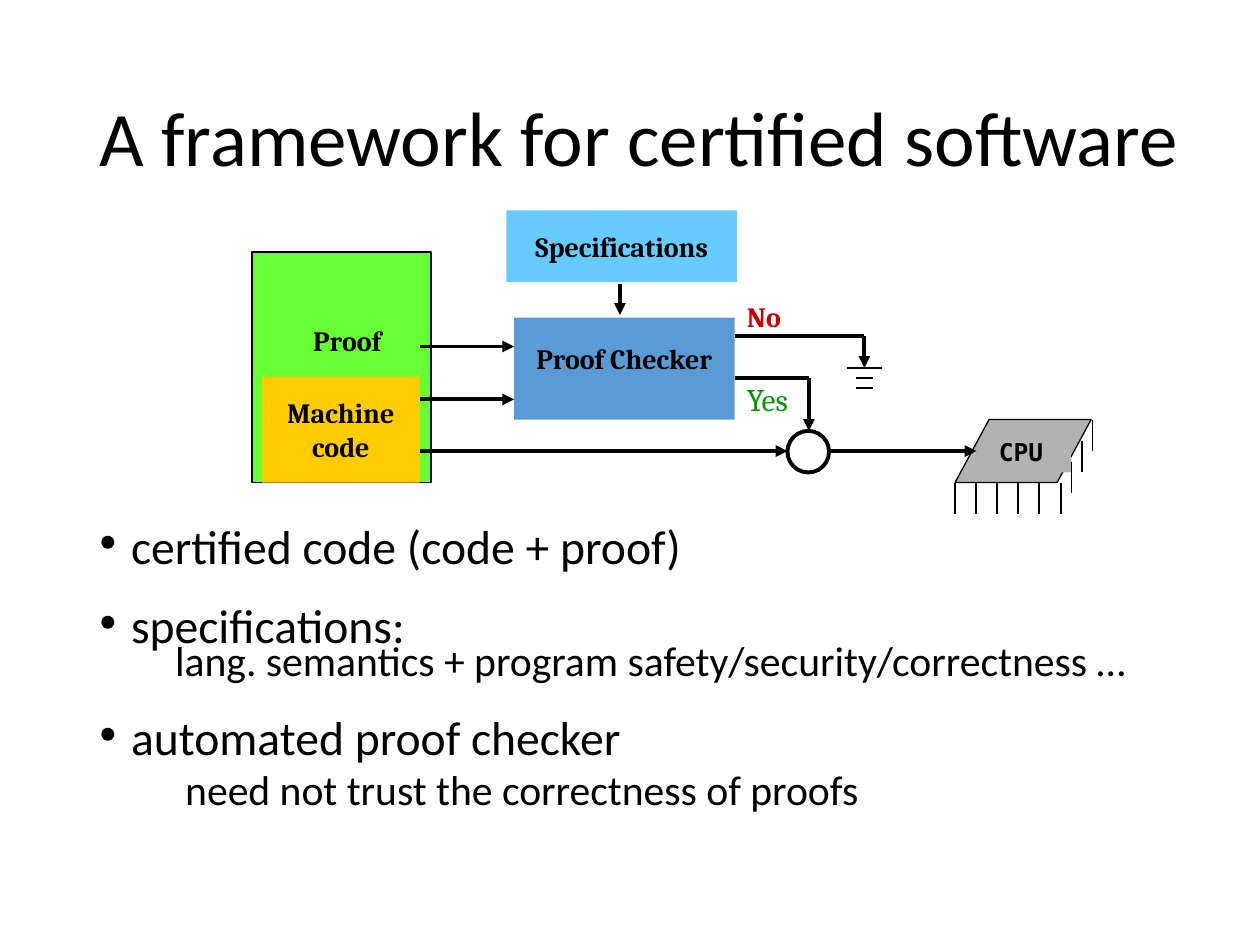
from lxml.etree import SubElement
from pptx import Presentation
from pptx.dml.color import RGBColor
from pptx.enum.shapes import MSO_CONNECTOR, MSO_SHAPE
from pptx.enum.text import MSO_ANCHOR, MSO_AUTO_SIZE, PP_ALIGN
from pptx.oxml.ns import qn
from pptx.util import Inches, Pt

COLORS = {
    "ink": "000000", "paper": "FFFFFF", "checker": "5B9BD5", "spec": "66CCFF",
    "proof": "66FF33", "machine": "FFCC00", "chip": "B2B2B2",
    "no": "CC0000", "yes": "009900",
}


class Board:
    title_font = "Calibri"
    label_font = "Cambria"
    code_font = "DejaVu Sans Mono"

    def __init__(self, slide):
        self.slide = slide

    def rgb(self, name):
        return RGBColor.from_string(COLORS[name])

    def format_runs(self, paragraph, size, font, color="ink", bold=False):
        for run in paragraph.runs:
            run.font.size = Pt(size)
            run.font.name = font
            run.font.bold = bold
            run.font.color.rgb = self.rgb(color)

    def place(self, holder, box):
        holder.left, holder.top, holder.width, holder.height = map(Inches, box)
        holder.text_frame.auto_size = MSO_AUTO_SIZE.NONE
        holder.text_frame.word_wrap = True
        return holder.text_frame

    def title(self, text, box):
        frame = self.place(self.slide.shapes.title, box)
        frame.vertical_anchor = MSO_ANCHOR.MIDDLE
        frame.text = text
        heading = frame.paragraphs[0]
        heading.alignment = PP_ALIGN.LEFT
        heading.line_spacing = 0.9
        self.format_runs(heading, 44, self.title_font)

    def points(self, entries, box):
        frame = self.place(self.slide.placeholders[1], box)
        frame.text = "\n".join(entry[0] for entry in entries)
        for paragraph, (_, bulleted, indent, before) in zip(frame.paragraphs, entries):
            paragraph.line_spacing = 0.6
            paragraph.space_before = Pt(before)
            self.format_runs(paragraph, 27.2 if bulleted else 23.8, self.title_font)
            props = paragraph._p.get_or_add_pPr()
            props.set("marL", str(Inches(indent)))
            props.set("indent", str(Inches(-0.25 if bulleted else 0)))
            if bulleted:
                SubElement(props, qn("a:buFont")).set("typeface", "Arial")
                SubElement(props, qn("a:buChar")).set("char", "•")
            else:
                SubElement(props, qn("a:buNone"))

    def block(self, box, fill, kind=MSO_SHAPE.RECTANGLE, outline=0):
        shape = self.slide.shapes.add_shape(kind, *map(Inches, box))
        shape.shadow.inherit = False
        shape.fill.solid()
        shape.fill.fore_color.rgb = self.rgb(fill)
        if outline:
            shape.line.color.rgb = self.rgb("ink")
            shape.line.width = Pt(outline)
        else:
            shape.line.fill.background()
        return shape

    def caption(self, shape, text, size=16, color="ink", bold=True, font=label_font,
                align=PP_ALIGN.CENTER, inset=0.05):
        frame = shape.text_frame
        frame.word_wrap = True
        frame.vertical_anchor = MSO_ANCHOR.TOP
        frame.margin_top = Inches(inset)
        frame.text = text
        frame.paragraphs[0].alignment = align
        self.format_runs(frame.paragraphs[0], size, font, color, bold)

    def label(self, text, box, **style):
        holder = self.slide.shapes.add_textbox(*map(Inches, box))
        self.caption(holder, text, align=PP_ALIGN.LEFT, **style)

    def line(self, x1, y1, x2, y2, width=2.25, arrow=False):
        link = self.slide.shapes.add_connector(
            MSO_CONNECTOR.STRAIGHT, *map(Inches, (x1, y1, x2, y2)))
        link.line.color.rgb = self.rgb("ink")
        link.line.width = Pt(width)
        if arrow:
            SubElement(link.line._get_or_add_ln(), qn("a:tailEnd")).set("type", "triangle")
        SubElement(link._element.spPr, qn("a:effectLst"))


deck = Presentation()
deck.slide_width, deck.slide_height = Inches(10), Inches(7.5)
board = Board(deck.slides.add_slide(deck.slide_layouts[1]))

board.title("A framework for certified software", (0.69, 0.4, 8.88, 1.45))
board.points([
    ("certified code (code + proof)", True, 0.25, 10),
    ("specifications:", True, 0.25, 26),
    ("lang. semantics + program safety/security/correctness …", False, 0.6, 1),
    ("automated proof checker", True, 0.25, 26),
    ("need not trust the correctness of proofs", False, 0.68, 11),
], (0.69, 4.21, 8.62, 2.54))

checker = board.block((4.08, 2.52, 1.75, 0.81), "checker")
board.caption(checker, "Proof Checker", inset=0.19)

board.line(5.83, 3, 6.42, 3)
board.line(6.42, 3, 6.42, 3.42, arrow=True)
board.label("Yes", (5.83, 2.97, 0.67, 0.4), size=18, color="yes", bold=False)

board.line(5.83, 2.67, 6.86, 2.67)
board.line(6.86, 2.67, 6.86, 2.92, arrow=True)
board.label("No", (5.83, 2.33, 0.58, 0.37), color="no")
for ground_y, half in ((2.92, 0.14), (3, 0.07), (3.08, 0.07)):
    board.line(6.86 + half, ground_y, 6.86 - half, ground_y, width=1.5)

chip = board.block((7.58, 3.33, 1.08, 0.5), "chip", MSO_SHAPE.PARALLELOGRAM, 0.75)
chip.adjustments[0] = 0.54
chip_name = board.block((7.83, 3.42, 0.67, 0.33), "chip")
board.caption(chip_name, "CPU", size=14, font=board.code_font, align=PP_ALIGN.LEFT)
side_pins = [(8.67 - i / 12, 3.33 + i / 6) for i in range(4)]
front_pins = [(7.58 + i / 6, 3.83) for i in range(5)]
for pin_x, pin_y in side_pins + front_pins:
    board.line(pin_x, pin_y, pin_x, pin_y + 0.25, width=0.75)

specifications = board.block((4.02, 1.67, 1.83, 0.57), "spec")
board.caption(specifications, "Specifications", inset=0.15)
board.line(4.92, 2.25, 4.92, 2.5, arrow=True)

board.block((2, 2, 1.42, 1.83), "proof", outline=0.75)
proof = board.block((2.17, 2.52, 1.17, 0.37), "proof")
board.caption(proof, "Proof")
machine_code = board.block((2.08, 2.99, 1.25, 0.84), "machine")
board.caption(machine_code, "Machine code", inset=0.15)

board.block((6.25, 3.42, 0.33, 0.33), "paper", MSO_SHAPE.OVAL, 2.25)
for start, end, flow_y in ((3.33, 6.25, 3.58), (6.58, 7.75, 3.58),
                           (3.33, 4.08, 2.75), (3.33, 4.08, 3.17)):
    board.line(start, flow_y, end, flow_y, arrow=True)

deck.save("out.pptx")
